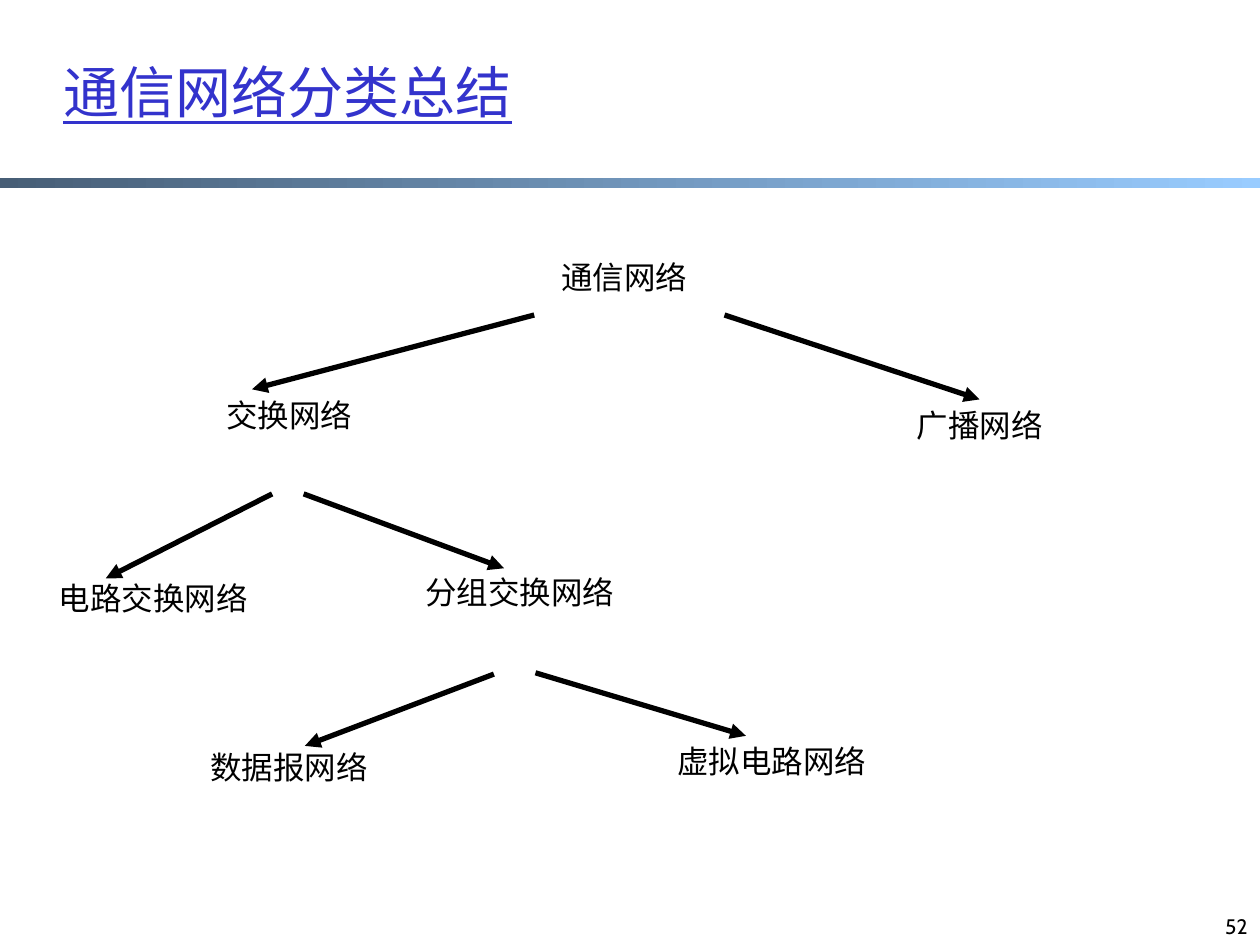
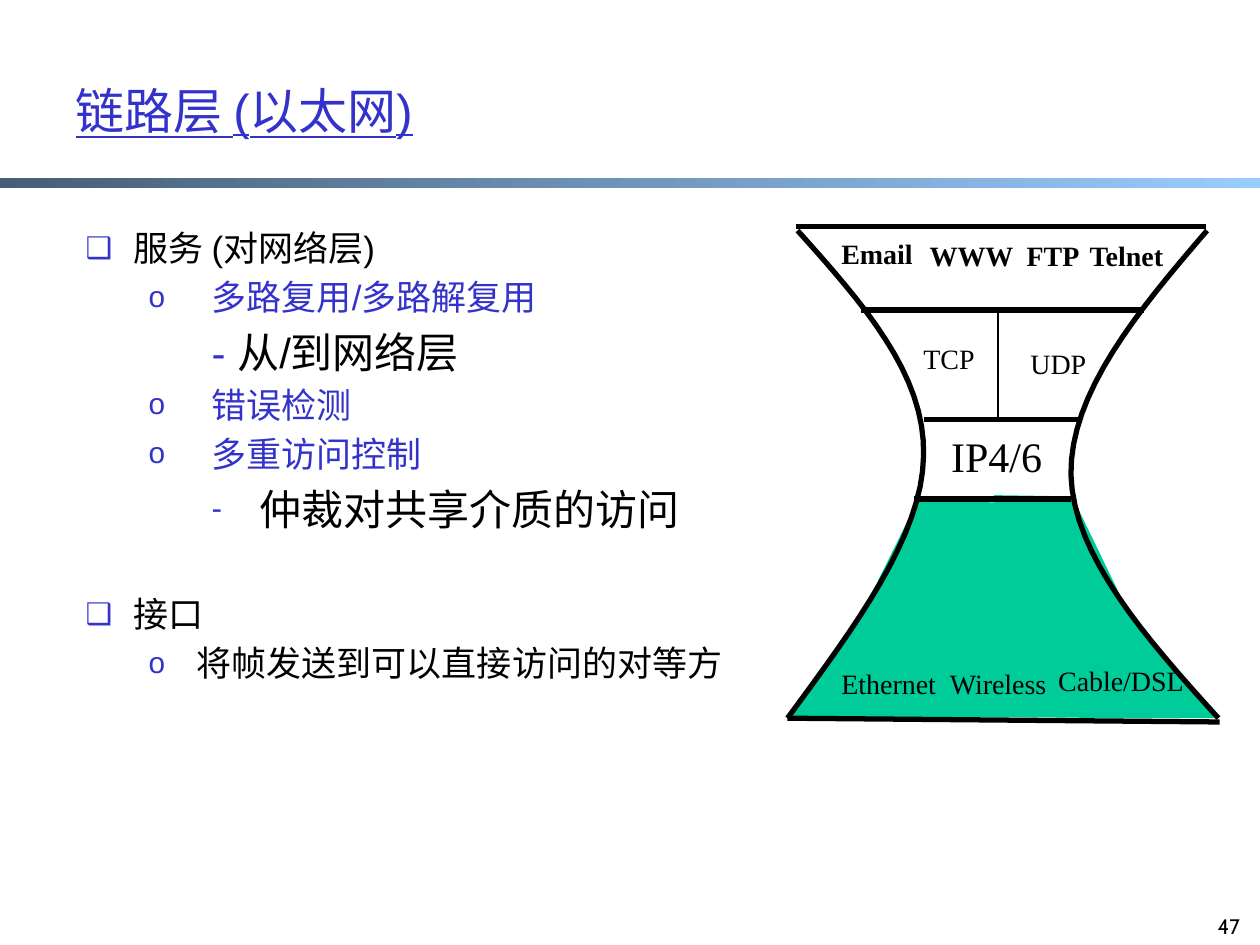
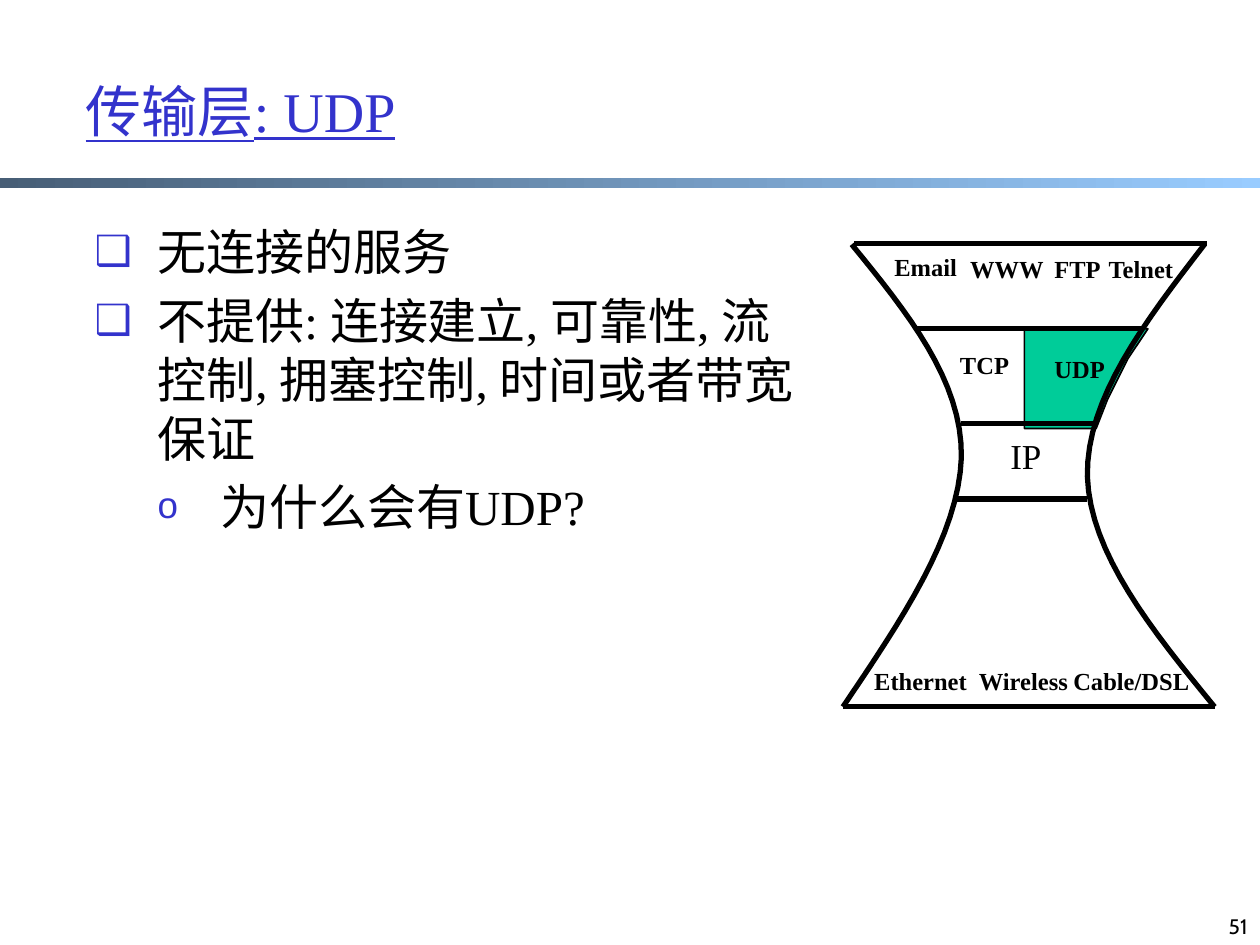
from lxml.etree import SubElement
from pptx import Presentation
from pptx.dml.color import RGBColor
from pptx.enum.shapes import MSO_CONNECTOR, MSO_SHAPE
from pptx.enum.text import MSO_ANCHOR, MSO_AUTO_SIZE, PP_ALIGN
from pptx.oxml.ns import qn
from pptx.util import Inches, Pt

BLUE, BLACK, GREEN = "3333CC", "000000", "00CC99"
BAND_START, BAND_END = "475E76", "99CCFF"
SANS, SERIF, NUMBER_FONT = "Arial", "Times New Roman", "Cabin"

NETWORK_WIDTH, NETWORK_HEIGHT = 2.25, 0.4
NETWORKS = {
    "通信网络": (3.83, 2),
    "交换网络": (1.17, 3.09),
    "广播网络": (6.65, 3.17),
    "电路交换网络": (0.09, 4.55),
    "分组交换网络": (3, 4.5),
    "数据报网络": (1.17, 5.89),
    "虚拟电路网络": (5, 5.84),
}
BRANCHES = [
    ("交换网络", (4.24, 2.5), (2, 3.09)),
    ("广播网络", (5.75, 2.5), (7.75, 3.17)),
    ("电路交换网络", (2.16, 3.92), (0.84, 4.59)),
    ("分组交换网络", (2.41, 3.92), (4, 4.51)),
    ("数据报网络", (3.92, 5.35), (2.42, 5.92)),
    ("虚拟电路网络", (4.25, 5.34), (5.92, 5.84)),
]

# level, left indent, first-line indent, bullet, bullet percent, space before, runs
LINK_POINTS = [
    (0, 0.38, -0.38, "❑", 85, None, [("服务 (对网络层)", 20, BLACK)]),
    (1, 1, -0.5, "o", 85, None, [("多路复用/多路解复用", 20, BLUE)]),
    (2, 1, 0, None, None, None, [("- ", 24, BLUE), ("从/到网络层", 24, BLACK)]),
    (1, 1, -0.5, "o", 85, None, [("错误检测", 20, BLUE)]),
    (1, 1, -0.5, "o", 85, None, [("多重访问控制", 20, BLUE)]),
    (2, 1.38, -0.38, "-", 75, None, [("仲裁对共享介质的访问", 24, BLACK)]),
    (0, 0.38, -0.38, "❑", 85, 34, [("接口", 20, BLACK)]),
    (1, 0.88, -0.38, "o", 85, None, [("将帧发送到可以直接访问的对等方", 20, BLACK)]),
]
UDP_POINTS = [
    (0, 0.5, -0.5, "❑", 85, None, [("无连接的服务", 28, BLACK)]),
    (0, 0.5, -0.5, "❑", 85, None,
     [("不提供: 连接建立, 可靠性, 流控制, 拥塞控制, 时间或者带宽保证", 28, BLACK)]),
    (1, 1, -0.5, "o", 75, None, [("为什么会有UDP?", 28, BLACK)]),
]

LINK_HOURGLASS = {
    "highlights": [
        [(7.89, 3.93), (7.9, 4.85), (7.89, 5.69), (8.87, 5.7), (9.64, 5.7),
         (8.95, 4.85), (8.51, 3.94)],
        [(7.29, 3.96), (6.87, 4.81), (6.25, 5.7), (7.9, 5.69), (7.9, 5.66),
         (7.92, 4.89), (7.92, 3.99)],
    ],
    "outline": None,
    "sides": [
        [(6.33, 1.83), (6.84, 2.4), (7.35, 2.97), (7.33, 3.62),
         (7.32, 4.26), (6.78, 4.98), (6.25, 5.7)],
        [(9.58, 1.83), (9.03, 2.47), (8.49, 3.12), (8.5, 3.77),
         (8.52, 4.41), (9.09, 5.06), (9.67, 5.7)],
    ],
    "levels": [((6.32, 1.8), (9.57, 1.8)), ((6.83, 2.46), (9.08, 2.46)),
               ((7.33, 3.33), (8.58, 3.33)), ((7.25, 3.96), (8.5, 3.96)),
               ((6.25, 5.7), (9.68, 5.73))],
    "divider": ((7.92, 2.46), (7.92, 3.33)),
    "label_height": 0.35,
    "label_size": 16,
    "waist": ("IP4/6", 7.45, 3.37, 0.93, 0.5, 24),
    "bold_labels": [("Email", 6.58, 1.83, 0.77), ("WWW", 7.28, 1.84, 0.87),
                    ("FTP", 8.05, 1.84, 0.62), ("Telnet", 8.55, 1.84, 0.81)],
    "plain_labels": [("TCP", 7.23, 2.66, 0.61), ("UDP", 8.08, 2.7, 0.64),
                     ("Ethernet", 6.58, 5.24, 0.96), ("Wireless", 7.44, 5.24, 0.98),
                     ("Cable/DSL", 8.3, 5.22, 1.21)],
}
UDP_HOURGLASS = {
    "highlights": [[(9.11, 2.61), (8.13, 2.61), (8.13, 3.4), (8.7, 3.4),
                    (8.79, 3.17), (8.95, 2.85)]],
    "outline": BLACK,
    "sides": [
        [(6.76, 1.94), (7.2, 2.48), (7.64, 3.02), (7.63, 3.63),
         (7.61, 4.25), (7.15, 4.93), (6.69, 5.61)],
        [(9.56, 1.94), (9.09, 2.55), (8.62, 3.16), (8.63, 3.78),
         (8.65, 4.39), (9.14, 5), (9.64, 5.61)],
    ],
    "levels": [((6.78, 1.93), (9.58, 1.93)), ((7.27, 2.61), (9.06, 2.61)),
               ((7.63, 3.36), (8.7, 3.36)), ((7.56, 3.96), (8.63, 3.96)),
               ((6.69, 5.61), (9.64, 5.61))],
    "divider": ((8.13, 2.61), (8.13, 3.36)),
    "label_height": 0.34,
    "label_size": 14,
    "waist": ("IP", 7.92, 3.4, 0.45, 0.44, 20),
    "bold_labels": [("Email", 7, 1.95, 0.7), ("WWW", 7.6, 1.97, 0.79),
                    ("FTP", 8.27, 1.97, 0.57), ("Telnet", 8.7, 1.97, 0.72),
                    ("TCP", 7.52, 2.73, 0.59), ("UDP", 8.27, 2.76, 0.6),
                    ("Ethernet", 6.84, 5.24, 0.94), ("Wireless", 7.67, 5.24, 0.92),
                    ("Cable/DSL", 8.42, 5.24, 1.13)],
    "plain_labels": [],
}


def rgb(colour):
    return RGBColor.from_string(colour)


def add_run(paragraph, text, size, font, colour=BLACK, bold=None, underline=None):
    run = paragraph.add_run()
    run.text = text
    run.font.size, run.font.name = Pt(size), font
    run.font.bold, run.font.underline = bold, underline
    run.font.color.rgb = rgb(colour)


def place(part, box):
    part.left, part.top, part.width, part.height = map(Inches, box)


def add_label(slide, text, box, size, font, bold=None, wrap=False, align=PP_ALIGN.LEFT):
    label = slide.shapes.add_textbox(*map(Inches, box))
    frame = label.text_frame
    frame.word_wrap = wrap
    frame.auto_size = MSO_AUTO_SIZE.SHAPE_TO_FIT_TEXT
    frame.paragraphs[0].alignment = align
    add_run(frame.paragraphs[0], text, size, font, bold=bold)
    return label


def add_line(slide, start, end, width=3, arrow=False):
    line = slide.shapes.add_connector(MSO_CONNECTOR.STRAIGHT, *map(Inches, start + end))
    line.line.color.rgb = rgb(BLACK)
    line.line.width = Pt(width)
    if arrow:
        SubElement(line.line._get_or_add_ln(), qn("a:tailEnd"), type="triangle")
    SubElement(line._element.spPr, qn("a:effectLst"))
    return line


def add_outline(slide, points, fill=None, colour=None, width=1):
    start, *rest = [(Inches(x), Inches(y)) for x, y in points]
    builder = slide.shapes.build_freeform(*start)
    builder.add_line_segments(rest, close=fill is not None)
    outline = builder.convert_to_shape()
    outline.shadow.inherit = False
    if fill:
        outline.fill.solid()
        outline.fill.fore_color.rgb = rgb(fill)
    else:
        outline.fill.background()
    if colour:
        outline.line.color.rgb = rgb(colour)
        outline.line.width = Pt(width)
    else:
        outline.line.fill.background()


def trace_curve(controls, steps=16):
    """Return points along the cubic curves that the control points describe."""
    points = [controls[0]]
    for first in range(0, len(controls) - 1, 3):
        corners = controls[first:first + 4]
        for step in range(1, steps + 1):
            t = step / steps
            weights = ((1 - t) ** 3, 3 * t * (1 - t) ** 2, 3 * t * t * (1 - t), t ** 3)
            points.append(tuple(sum(w * corner[axis] for w, corner in zip(weights, corners))
                                for axis in (0, 1)))
    return points


def add_master_band(prs, slide):
    """Draw the gradient band and hand it to the slide master."""
    band = slide.shapes.add_shape(MSO_SHAPE.RECTANGLE, *map(Inches, (0, 1.41, 10, 0.08)))
    band.shadow.inherit = False
    band.line.fill.background()
    band.fill.gradient()
    band.fill.gradient_angle = 0
    for stop, colour in zip(band.fill.gradient_stops, (BAND_START, BAND_END)):
        stop.color.rgb = rgb(colour)
    prs.slide_master.shapes.element.append(band._element)


def add_slide(prs, layout, title, box, size, font, number, number_left=7.67,
              anchor=MSO_ANCHOR.MIDDLE):
    slide = prs.slides.add_slide(prs.slide_layouts.get_by_name(layout))
    heading = slide.shapes.title
    place(heading, box)
    heading.text_frame.auto_size = MSO_AUTO_SIZE.NONE
    heading.text_frame.vertical_anchor = anchor
    heading.text_frame.paragraphs[0].alignment = PP_ALIGN.LEFT
    add_run(heading.text_frame.paragraphs[0], title, size, font, BLUE, underline=True)
    page = add_label(slide, number, (number_left, 7, 2.33, 0.5), 12, NUMBER_FONT,
                     wrap=True, align=PP_ALIGN.RIGHT)
    page.text_frame.auto_size = MSO_AUTO_SIZE.NONE
    page.text_frame.vertical_anchor = MSO_ANCHOR.BOTTOM
    return slide


def set_bullet(paragraph, left, first, bullet, percent):
    properties = paragraph._p.get_or_add_pPr()
    properties.set("marL", str(Inches(left)))
    properties.set("indent", str(Inches(first)))
    if bullet is None:
        SubElement(properties, qn("a:buNone"))
        return
    SubElement(SubElement(properties, qn("a:buClr")), qn("a:srgbClr"), val=BLUE)
    SubElement(properties, qn("a:buSzPct"), val=str(percent * 1000))
    SubElement(properties, qn("a:buChar"), char=bullet)


def fill_body(slide, box, points, font):
    body = slide.placeholders[1]
    place(body, box)
    frame = body.text_frame
    frame.auto_size = MSO_AUTO_SIZE.NONE
    for index, (level, left, first, bullet, percent, before, runs) in enumerate(points):
        paragraph = frame.add_paragraph() if index else frame.paragraphs[0]
        paragraph.level = level
        set_bullet(paragraph, left, first, bullet, percent)
        if index == 0:
            paragraph.space_before = Pt(0)
        elif before:
            paragraph.space_before = Pt(before)
        for text, size, colour in runs:
            add_run(paragraph, text, size, font, colour)


def draw_tree(slide):
    boxes = {name: add_label(slide, name, (*corner, NETWORK_WIDTH, NETWORK_HEIGHT), 18, SANS,
                             wrap=True, align=PP_ALIGN.CENTER)
             for name, corner in NETWORKS.items()}
    for child, start, end in BRANCHES:
        branch = add_line(slide, start, end, arrow=True)
        left, top = NETWORKS[child]
        if abs(left + NETWORK_WIDTH / 2 - end[0]) < 0.05 and abs(top - end[1]) < 0.05:
            branch.end_connect(boxes[child], 0)


def draw_hourglass(slide, glass):
    for highlight in glass["highlights"]:
        add_outline(slide, highlight, GREEN, glass["outline"])
    for side in glass["sides"]:
        add_outline(slide, trace_curve(side), colour=BLACK, width=3)
    for start, end in glass["levels"]:
        add_line(slide, start, end)
    add_line(slide, *glass["divider"], width=1)
    waist, *box, size = glass["waist"]
    add_label(slide, waist, box, size, SERIF)
    for group, bold in (("bold_labels", True), ("plain_labels", None)):
        for text, left, top, width in glass[group]:
            add_label(slide, text, (left, top, width, glass["label_height"]),
                      glass["label_size"], SERIF, bold)


def main():
    prs = Presentation()
    prs.slide_width, prs.slide_height = Inches(10), Inches(7.5)

    summary = add_slide(prs, "Title Only", "通信网络分类总结", (0.4, 0.41, 8.5, 0.66), 32,
                        SANS, "52", anchor=MSO_ANCHOR.TOP)
    add_master_band(prs, summary)
    draw_tree(summary)

    link = add_slide(prs, "Title and Content", "链路层 (以太网)", (0.5, 0.25, 9.08, 1.25), 28,
                     SANS, "47", number_left=7.61)
    fill_body(link, (0.58, 1.75, 5.66, 5.08), LINK_POINTS, SANS)
    draw_hourglass(link, LINK_HOURGLASS)

    udp = add_slide(prs, "Title and Content", "传输层: UDP", (0.58, 0.25, 8.5, 1.25), 32,
                    SERIF, "51")
    fill_body(udp, (0.65, 1.71, 5.88, 5.08), UDP_POINTS, SERIF)
    draw_hourglass(udp, UDP_HOURGLASS)

    prs.save("out.pptx")


if __name__ == "__main__":
    main()
